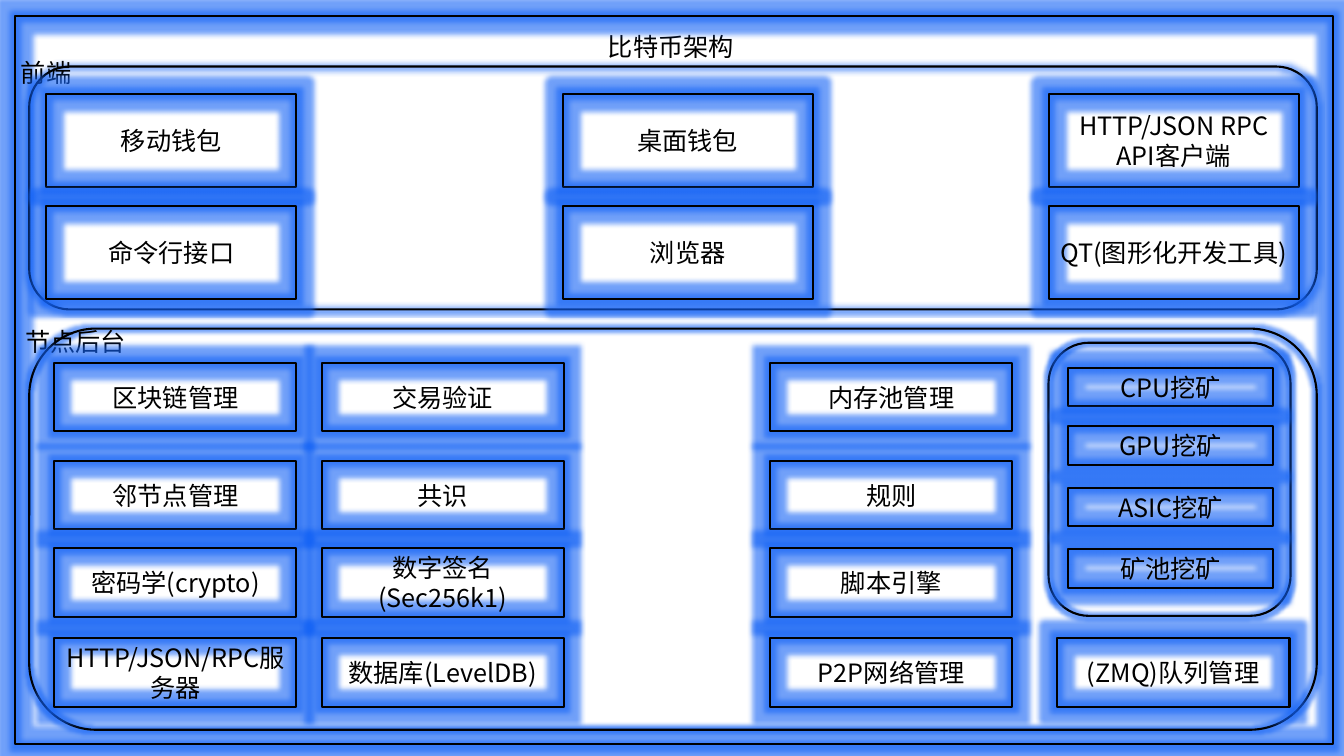
from dataclasses import dataclass

from lxml.etree import SubElement
from pptx import Presentation
from pptx.dml.color import RGBColor
from pptx.enum.shapes import MSO_SHAPE as Shape
from pptx.enum.text import MSO_ANCHOR as Anchor, MSO_AUTO_SIZE as AutoSize, PP_ALIGN as Align
from pptx.oxml.ns import qn
from pptx.util import Inches, Pt


@dataclass(frozen=True)
class Theme:
    font: str = "Noto Sans CJK SC"
    size: int = 18
    ink: str = "000000"
    glow: str = "1262F6"
    glow_alpha: int = 60
    line: float = 1.5
    box_glow: int = 8
    group_glow: int = 5


THEME = Theme()

FRONTEND = [
    (5.12 * 0, ["移动钱包", "命令行接口"]),
    (5.12, ["桌面钱包", "浏览器"]),
    (9.94, ["HTTP/JSON RPC API客户端", "QT(图形化开发工具)"]),
]
BACKEND = [
    (0, ["区块链管理", "邻节点管理", "密码学(crypto)", "HTTP/JSON/RPC服务器"]),
    (2.65, ["交易验证", "共识", "数字签名(Sec256k1)", "数据库(LevelDB)"]),
    (7.1, ["内存池管理", "规则", "脚本引擎", "P2P网络管理"]),
]
MINING = ["CPU挖矿", "GPU挖矿", "ASIC挖矿", "矿池挖矿"]


def write(frame, text, align):
    para = frame.paragraphs[0]
    para.alignment = align
    span = para.add_run()
    span.text = text
    span.font.size = Pt(THEME.size)
    span.font.name = THEME.font
    span.font.color.rgb = RGBColor.from_string(THEME.ink)
    SubElement(span.font._element, qn("a:ea"), typeface=THEME.font)


def add_glow(shape, radius):
    effects = shape._element.spPr.find(qn("a:effectLst"))
    glow = SubElement(effects, qn("a:glow"), rad=str(Pt(radius)))
    color = SubElement(glow, qn("a:srgbClr"), val=THEME.glow)
    SubElement(color, qn("a:alpha"), val=str(THEME.glow_alpha * 1000))


def add_outline(page, kind, left, top, width, height, glow):
    shape = page.shapes.add_shape(
        kind, Inches(left), Inches(top), Inches(width), Inches(height))
    shape.fill.background()
    shape.line.color.rgb = RGBColor.from_string(THEME.ink)
    shape.line.width = Pt(THEME.line)
    shape.shadow.inherit = False
    add_glow(shape, glow)
    return shape


def add_box(page, text, left, top, width, height):
    box = add_outline(page, Shape.RECTANGLE, left, top, width, height, THEME.box_glow)
    box.text_frame.word_wrap = True
    box.text_frame.vertical_anchor = Anchor.MIDDLE
    write(box.text_frame, text, Align.CENTER)


def add_group(page, left, top, width, height):
    add_outline(page, Shape.ROUNDED_RECTANGLE, left, top, width, height, THEME.group_glow)


def add_label(page, text, left, top, width):
    label = page.shapes.add_textbox(
        Inches(left), Inches(top), Inches(width), Inches(0.4))
    label.text_frame.word_wrap = False
    label.text_frame.auto_size = AutoSize.SHAPE_TO_FIT_TEXT
    write(label.text_frame, text, Align.LEFT)


def add_columns(page, columns, left, row_tops, width, height):
    for offset, names in columns:
        for name, top in zip(names, row_tops):
            add_box(page, name, left + offset, top, width, height)


def add_title(page, text, left, top, width, height):
    title = page.shapes.title
    title.left, title.top = Inches(left), Inches(top)
    title.width, title.height = Inches(width), Inches(height)
    title.text_frame.word_wrap = False
    title.text_frame.auto_size = AutoSize.NONE
    title.text_frame.vertical_anchor = Anchor.TOP
    write(title.text_frame, text, Align.LEFT)


def add_frontend(page, left, top, width, height):
    add_group(page, left, top, width, height)
    add_label(page, "前端", left - 0.18, top - 0.14, 0.71)
    rows = [top + 0.27 + 1.11 * row for row in range(2)]
    add_columns(page, FRONTEND, left + 0.17, rows, 2.48, 0.93)


def add_mining(page, left, top, width, height):
    add_group(page, left, top, width, height)
    rows = [top + offset for offset in (0.25, 0.83, 1.44, 2.05)]
    add_columns(page, [(0, MINING)], left + 0.19, rows, 2.04, 0.38)


def add_backend(page, left, top, width, height):
    add_group(page, left, top, width, height)
    add_label(page, "节点后台", left - 0.14, top - 0.07, 1.21)
    rows = [top + offset for offset in (0.34, 1.31, 2.18, 3.07)]
    add_columns(page, BACKEND, left + 0.25, rows, 2.4, 0.68)
    add_mining(page, left + 10.11, top + 0.14, 2.4, 2.71)
    add_box(page, "(ZMQ)队列管理", left + 10.19, rows[-1], 2.31, 0.68)


def build_architecture(page):
    add_outline(page, Shape.RECTANGLE, 0.15, 0.16, 13.07, 7.22, THEME.box_glow)
    add_title(page, "比特币架构", 5.93, 0.26, 1.46, 0.4)
    add_frontend(page, 0.29, 0.66, 12.77, 2.41)
    add_backend(page, 0.29, 3.26, 12.77, 3.98)


def main():
    deck = Presentation()
    deck.slide_width, deck.slide_height = Inches(13.33), Inches(7.5)
    build_architecture(deck.slides.add_slide(deck.slide_layouts[5]))
    deck.save("out.pptx")


if __name__ == "__main__":
    main()
